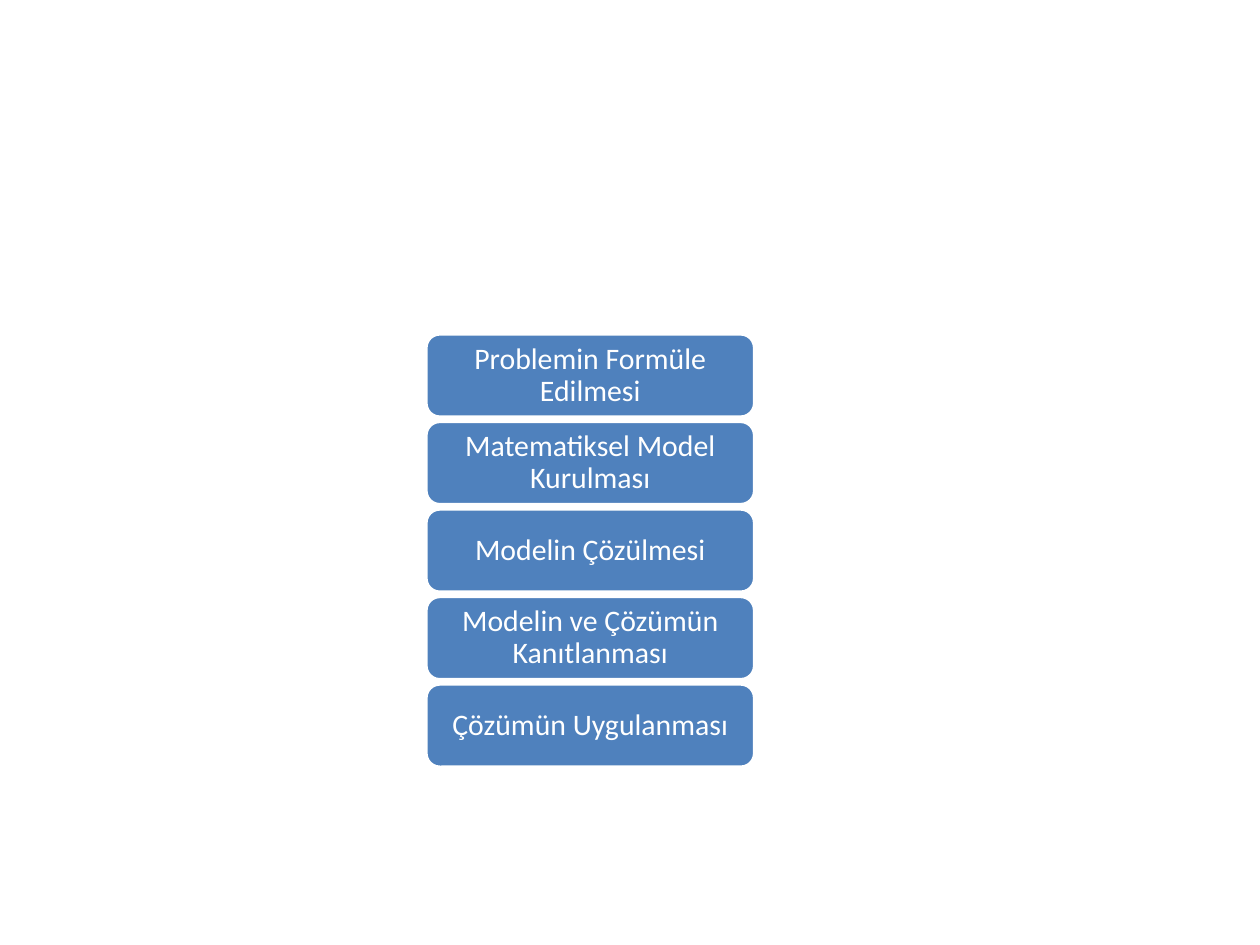
from dataclasses import dataclass

from pptx import Presentation
from pptx.dml.color import RGBColor
from pptx.enum.shapes import MSO_SHAPE
from pptx.enum.text import MSO_ANCHOR, PP_ALIGN
from pptx.util import Inches, Pt

ROUNDED = MSO_SHAPE.ROUNDED_RECTANGLE
MIDDLE = MSO_ANCHOR.MIDDLE
CENTER = PP_ALIGN.CENTER
BLANK_LAYOUT = 6


@dataclass(frozen=True)
class Theme:
    step_fill: RGBColor = RGBColor(0x4F, 0x81, 0xBD)
    white: RGBColor = RGBColor(0xFF, 0xFF, 0xFF)
    font: str = "Calibri"
    step_size: int = 17
    outline: int = 2


THEME = Theme()
SLIDE_WIDTH, SLIDE_HEIGHT = Inches(10), Inches(7.5)

STEPS = [
    "Problemin Formüle Edilmesi",
    "Matematiksel Model Kurulması",
    "Modelin Çözülmesi",
    "Modelin ve Çözümün Kanıtlanması",
    "Çözümün Uygulanması",
]


def write_text(frame, text, *, size, color, align=CENTER, line_spacing=0.9):
    frame.word_wrap = True
    frame.vertical_anchor = MIDDLE
    frame.margin_left = frame.margin_right = Inches(0.07)
    frame.margin_top = frame.margin_bottom = Inches(0.04)
    paragraph = frame.paragraphs[0]
    paragraph.alignment = align
    paragraph.line_spacing = line_spacing
    run = paragraph.add_run()
    run.text = text
    run.font.name = THEME.font
    run.font.size = Pt(size)
    run.font.color.rgb = color


def add_step(shapes, text, left, top, width, height):
    step = shapes.add_shape(ROUNDED, left, top, width, height)
    step.shadow.inherit = False
    step.fill.solid()
    step.fill.fore_color.rgb = THEME.step_fill
    step.line.color.rgb = THEME.white
    step.line.width = Pt(THEME.outline)
    write_text(step.text_frame, text, size=THEME.step_size, color=THEME.white)


def add_step_stack(slide, steps, left, top, width, height, gap_share=0.05):
    """Fill the box with equal steps; each gap is a share of a step's height."""
    count = len(steps)
    step_height = height / (count + (count - 1) * gap_share)
    pitch = step_height * (1 + gap_share)
    group = slide.shapes.add_group_shape()
    for row, text in enumerate(steps):
        add_step(group.shapes, text, left, round(top + row * pitch),
                 width, round(step_height))


def main():
    presentation = Presentation()
    presentation.slide_width, presentation.slide_height = SLIDE_WIDTH, SLIDE_HEIGHT
    slide = presentation.slides.add_slide(presentation.slide_layouts[BLANK_LAYOUT])

    # Stages of the modelling process, top to bottom
    add_step_stack(slide, STEPS, Inches(3.38), Inches(2.65),
                   Inches(2.61), Inches(3.44))

    presentation.save("out.pptx")


if __name__ == "__main__":
    main()
